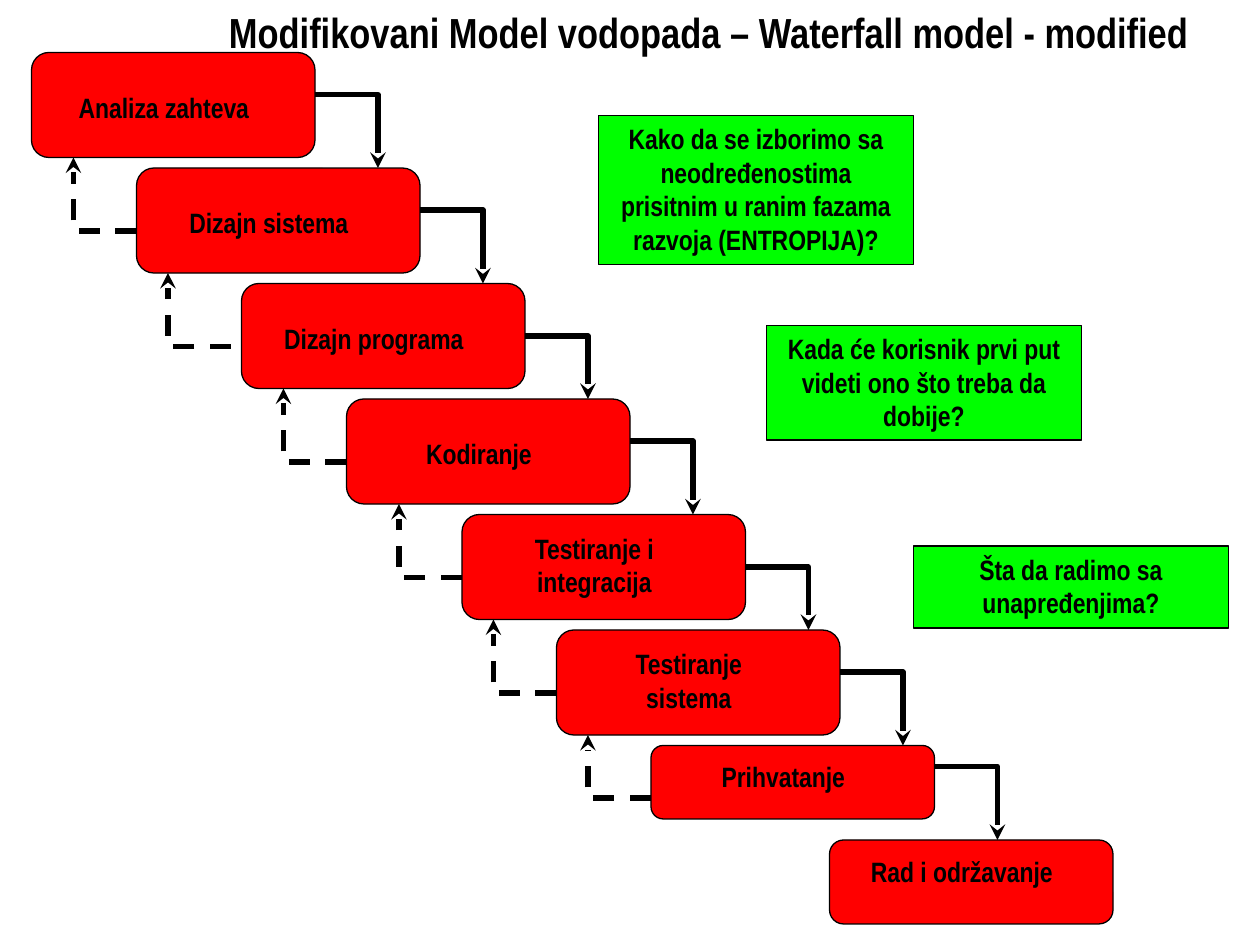
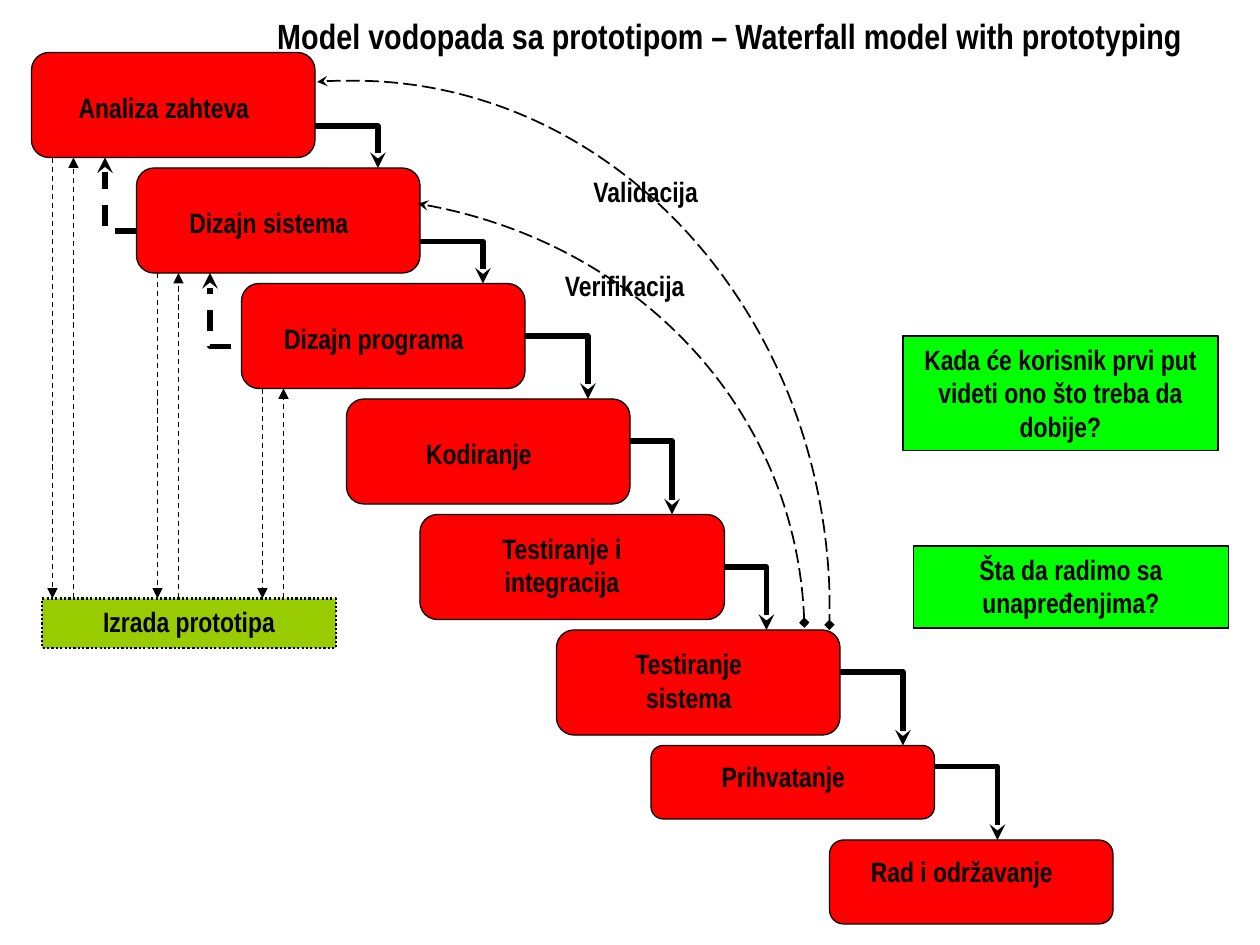
from dataclasses import dataclass, replace

from lxml import etree
from pptx import Presentation
from pptx import util as u
from pptx.dml import color
from pptx.enum import dml, shapes, text
from pptx.oxml import ns

BLACK, RED, GREEN, OLIVE = "000000", "FF0000", "00FF00", "99CC00"
FONT = {"name": "Arial Narrow", "bold": True}
FRAME = {"word_wrap": True, "auto_size": text.MSO_AUTO_SIZE.SHAPE_TO_FIT_TEXT}
DASH = dml.MSO_LINE.DASH
LONG_DASH = dml.MSO_LINE.LONG_DASH
DOTS = dml.MSO_LINE.ROUND_DOT
NOTE_WIDTH = 30


def grid(units):
    """Length of a number of grid units; the slide is 120 by 90 units."""
    return u.Cm(units * 2.54 / 12)


def rgb(hex_string):
    return color.RGBColor.from_string(hex_string)


def set_all(target, values):
    for name, value in values.items():
        setattr(target, name, value)


@dataclass
class Step:
    label: str
    left: float
    top: float
    width: float = 27
    height: float = 10
    label_drop: float = 3

    @property
    def right(self):
        return self.left + self.width

    @property
    def bottom(self):
        return self.top + self.height


class Deck:
    def __init__(self):
        self.presentation = Presentation()
        self.presentation.slide_width = grid(120)
        self.presentation.slide_height = grid(90)
        self.slide = None

    def new_slide(self, title, box, size):
        self.slide = self.presentation.slides.add_slide(self.presentation.slide_layouts[5])
        placeholder = self.slide.shapes.title
        set_all(placeholder, dict(zip(("left", "top", "width", "height"), map(grid, box))))
        self.set_text(placeholder, title, size, text.MSO_ANCHOR.BOTTOM)

    def set_text(self, shape, words, size=16, anchor=text.MSO_ANCHOR.TOP):
        frame = shape.text_frame
        set_all(frame, FRAME | {"vertical_anchor": anchor})
        paragraph = frame.paragraphs[0]
        paragraph.text = words
        paragraph.alignment = text.PP_ALIGN.CENTER
        set_all(paragraph.font, FONT | {"size": u.Pt(size)})
        paragraph.font.color.rgb = rgb(BLACK)

    def style_line(self, shape, width, dash=None, head=None, tail=None):
        shape.line.color.rgb = rgb(BLACK)
        set_all(shape.line, {"width": u.Pt(width), "dash_style": dash})
        properties = shape.element.spPr
        outline = properties.find(ns.qn("a:ln"))
        for end, kind in (("a:headEnd", head), ("a:tailEnd", tail)):
            if kind:
                etree.SubElement(outline, ns.qn(end), type=kind)
        etree.SubElement(properties, ns.qn("a:effectLst"))

    def filled(self, kind, box, fill, line_width=0.75, dash=None, parent=None):
        shape = (parent or self.slide).shapes.add_shape(kind, *map(grid, box))
        shape.fill.solid()
        shape.fill.fore_color.rgb = rgb(fill)
        self.style_line(shape, line_width, dash)
        return shape

    def label(self, words, box, parent=None):
        self.set_text((parent or self.slide).shapes.add_textbox(*map(grid, box)), words)

    def step(self, step):
        group = self.slide.shapes.add_group_shape()
        self.filled(shapes.MSO_SHAPE.ROUNDED_RECTANGLE,
                    (step.left, step.top, step.width, step.height), RED, parent=group)
        label_height = 7.7 if step.label.startswith("Testiranje") else 4.4
        self.label(step.label, (step.left + step.width * 0.1, step.top + step.label_drop,
                                step.width * 0.73 + 0.1, label_height), group)

    def note(self, words, left, top, height):
        box = (left, top, NOTE_WIDTH, height)
        self.set_text(self.filled(shapes.MSO_SHAPE.RECTANGLE, box, GREEN), words)

    def open_line(self, points, width, **ends):
        start, *others = [tuple(map(grid, point)) for point in points]
        builder = self.slide.shapes.build_freeform(*start)
        builder.add_line_segments(others, close=False)
        shape = builder.convert_to_shape()
        shape.fill.background()
        self.style_line(shape, width, **ends)
        return shape

    def elbow(self, start, tip, dash=None):
        corner = (tip[0], start[1])
        self.open_line([start, corner, tip], 3, dash=dash, tail="stealth")

    def curve(self, points):
        """Start point, then two control points and an end point per Bézier piece."""
        shape = self.open_line(points, 1, dash=LONG_DASH, head="stealth", tail="diamond")
        segments = shape.element.xpath(".//a:path/a:lnTo")
        for first, second, third in zip(*[iter(segments)] * 3):
            first.tag = ns.qn("a:cubicBezTo")
            for segment in (second, third):
                first.append(segment[0])
                segment.getparent().remove(segment)

    def thin_arrow(self, x, start_y, end_y):
        connector = self.slide.shapes.add_connector(
            shapes.MSO_CONNECTOR.STRAIGHT, *map(grid, (x, start_y, x, end_y)))
        self.style_line(connector, 0.75, DASH, tail="triangle")

    def waterfall(self, steps, exits, feedback):
        """Exits are (y, reach) of forward arrows; feedback is (start x, tip x)."""
        for step in steps:
            self.step(step)
        for step, following, (y, reach) in zip(steps, steps[1:], exits):
            self.elbow((step.right, y), (step.right + reach, following.top))
        for step, following, (start_x, tip_x) in zip(steps, steps[1:], feedback):
            y = following.top + min(6, following.height - 2)
            self.elbow((start_x, y), (tip_x, step.bottom), DASH)


STEPS = [
    Step("Analiza zahteva", 3, 5),
    Step("Dizajn sistema", 13, 16),
    Step("Dizajn programa", 23, 27),
    Step("Kodiranje", 33, 38),
    Step("Testiranje i integracija", 44, 49, label_drop=1),
    Step("Testiranje sistema", 53, 60, label_drop=1),
    Step("Prihvatanje", 62, 71, height=7, label_drop=0.75),
    Step("Rad i održavanje", 79, 80, height=8, label_drop=0.75),
]
UPGRADES = "Šta da radimo sa unapređenjima?"
FIRST_VIEW = "Kada će korisnik prvi put videti ono što treba da dobije?"
ENTROPY = ("Kako da se izborimo sa neodređenostima prisitnim u ranim fazama "
           "razvoja (ENTROPIJA)?")


def modified_model(deck):
    deck.new_slide("Modifikovani Model vodopada – Waterfall model - modified",
                   (17, 0, 101, 6), 24)
    deck.waterfall(STEPS, [(y, 6) for y in (9, 20, 32, 42, 54, 64, 73)],
                   [(13, 7), (22, 16), (33, 27), (44, 38), (53, 47), (62, 56)])
    deck.note(UPGRADES, 87, 52, 7.8)
    deck.note(FIRST_VIEW, 73, 31, 10.9)
    deck.note(ENTROPY, 57, 11, 14.2)


def prototyping_model(deck):
    deck.new_slide("Model vodopada sa prototipom – Waterfall model with prototyping",
                   (19, 0.8, 101, 5.2), 20)
    steps = list(STEPS)
    steps[4] = replace(steps[4], left=40, width=29)
    deck.waterfall(steps,
                   [(12, 6), (23, 6), (32, 6), (42, 4), (54, 4), (64, 6), (73, 6)],
                   [(13, 10), (22, 20)])
    deck.note(UPGRADES, 87, 52, 7.8)
    deck.note(FIRST_VIEW, 86, 32, 10.9)

    prototype_top = 57
    prototype = deck.filled(shapes.MSO_SHAPE.RECTANGLE, (4, prototype_top, 28, 4.7),
                            OLIVE, 1.25, DOTS)
    deck.set_text(prototype, "Izrada prototipa")
    for step in steps[:3]:
        deck.thin_arrow(step.left + 2, step.bottom, prototype_top)
        deck.thin_arrow(step.left + 4, prototype_top, step.bottom)

    deck.curve([(30.2, 7.8), (31, 7.7), (31.7, 7.7), (32.5, 7.7), (57.4, 7), (78.1, 28.7),
                (79, 56.3), (79, 57.4), (79, 58.4), (79, 59.5)])
    deck.curve([(39.8, 19.4), (60.7, 22.9), (76, 39.5), (76.6, 59.3)])
    deck.label("Verifikacija", (51, 25, 17, 4.4))
    deck.label("Validacija", (53, 16, 17, 4.4))


def main():
    deck = Deck()
    modified_model(deck)
    prototyping_model(deck)
    deck.presentation.save("out.pptx")


if __name__ == "__main__":
    main()
